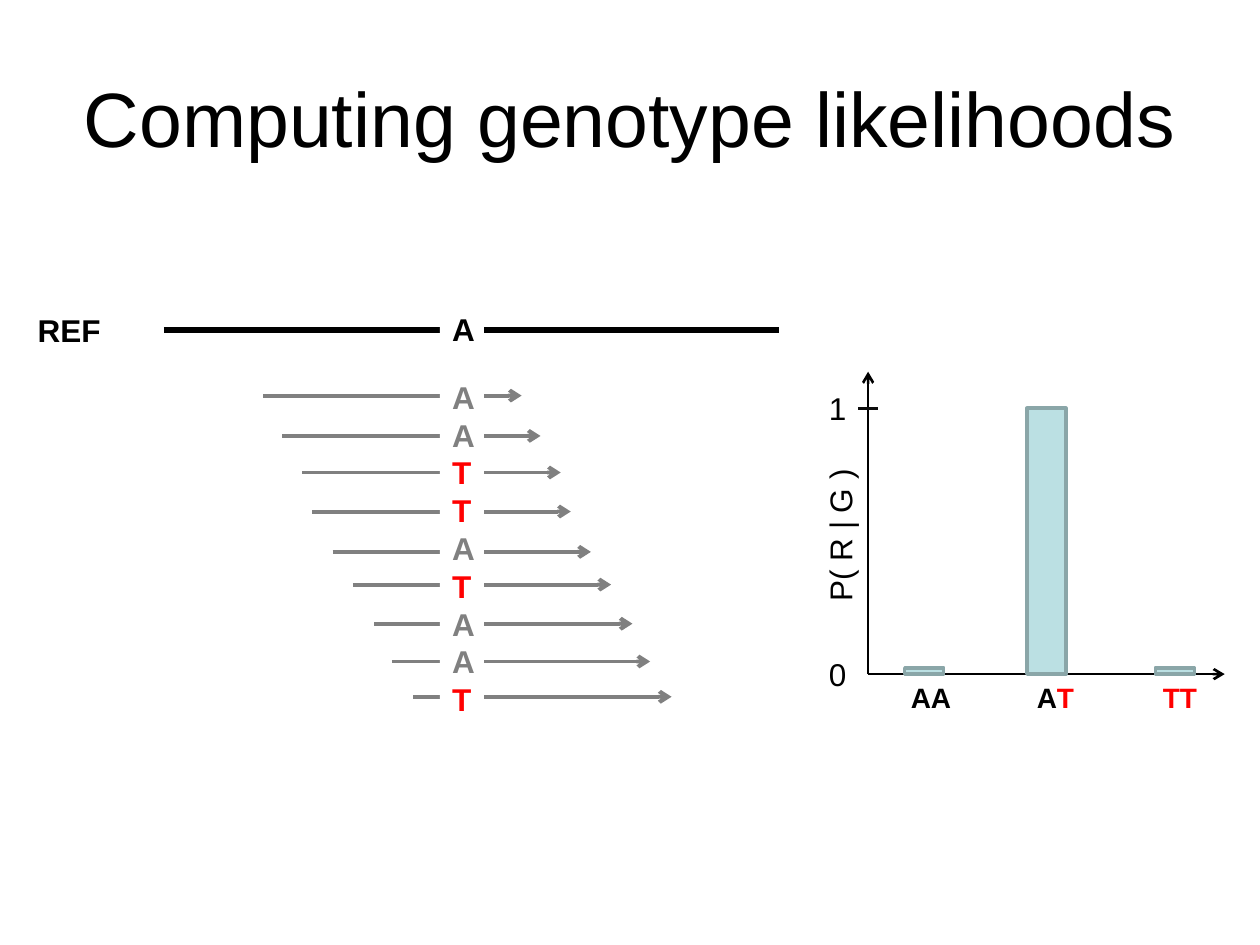
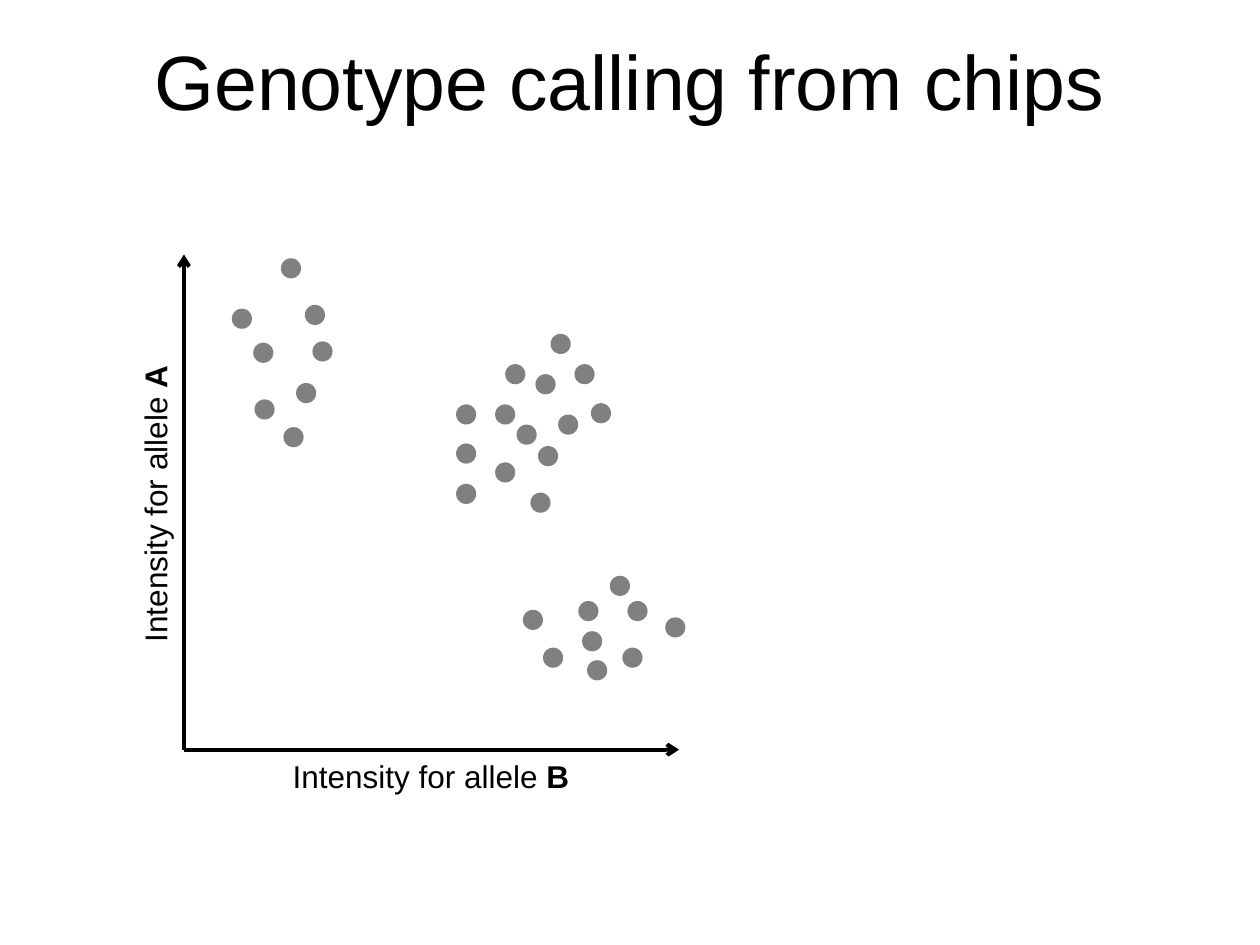
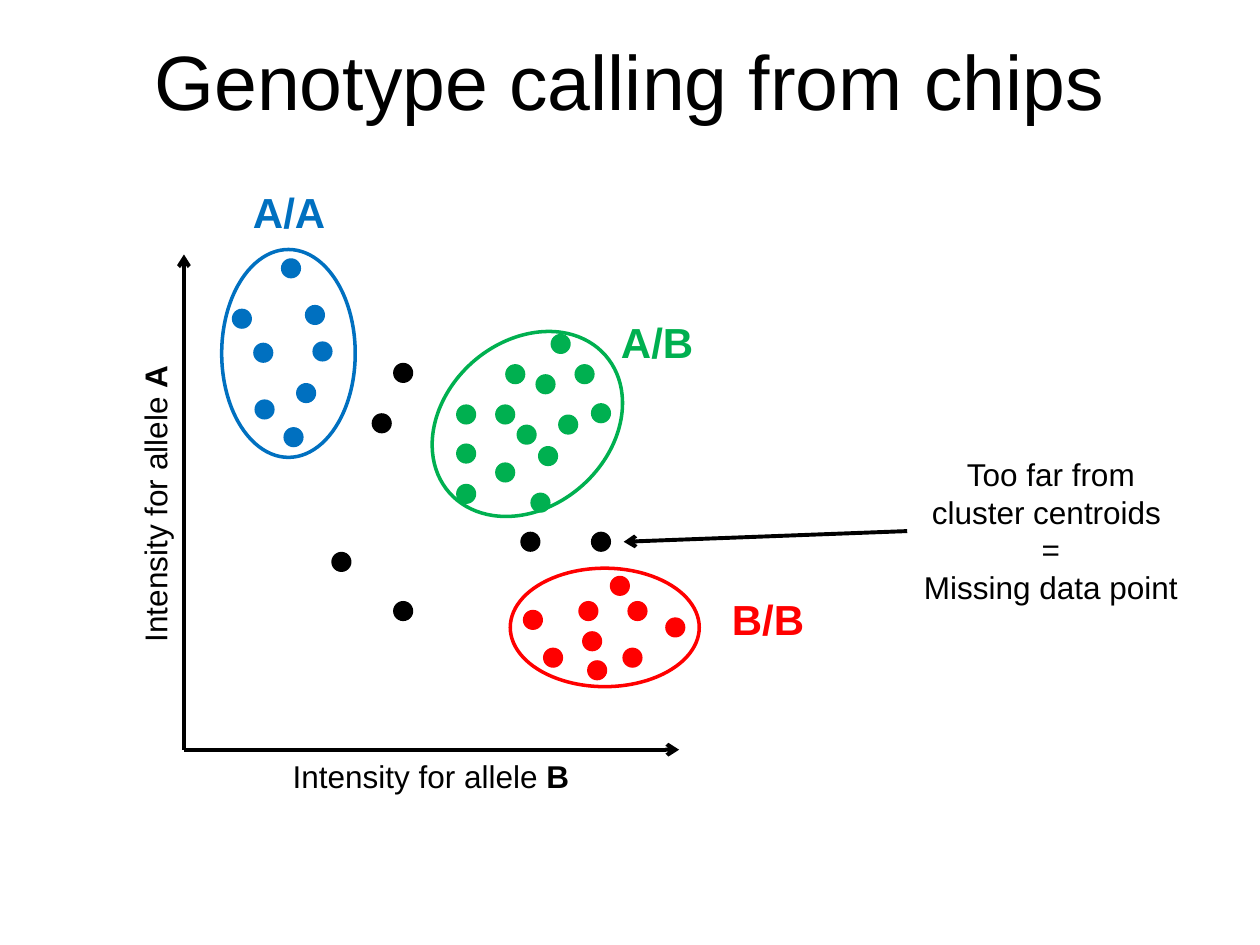
from collections import namedtuple
from dataclasses import dataclass

from pptx import Presentation
from pptx import util as u
from pptx.dml.color import RGBColor
from pptx.enum import shapes, text
from pptx.oxml.ns import qn
from lxml import etree

PX = 9144  # EMU in one px: 100 px to the inch


@dataclass(frozen=True)
class Theme:
    font: str = "Arial"
    ink: str = "000000"
    paper: str = "FFFFFF"
    grey: str = "808080"
    tick: str = "0D0D0D"
    blue: str = "0070C0"
    green: str = "00B050"
    red: str = "FF0000"
    bar: str = "BBE0E3"
    bar_edge: str = "8AA6A8"
    title: int = 44
    cluster: int = 24
    body: int = 18
    genotype: int = 16


T = Theme()
Box = namedtuple("Box", "x y w h")
Cluster = namedtuple("Cluster", "name color label ring angle dots")

READS = [  # allele, left end and height of each read
    ("A", 189, 73), ("A", 204, 105), ("T", 220, 134),
    ("T", 228, 165), ("A", 244, 197), ("T", 260, 223),
    ("A", 277, 254), ("A", 291, 284), ("T", 308, 312),
]
BARS = [(29, 5), (126, 211), (228, 5)]
GENOTYPE_TABS = (100, 200)

CLUSTERS = [
    Cluster("A/A", T.blue, (45, -59), Box(30, -4, 106, 165), 0, [
        (55, 70), (102, 69), (56, 115), (89, 102),
        (96, 40), (77, 3), (38, 43), (79, 137)]),
    Cluster("A/B", T.green, (337, 44), Box(207, 52, 131, 165), 48.6, [
        (247, 119), (264, 135), (281, 152), (216, 150), (247, 165),
        (297, 127), (279, 95), (310, 87), (255, 87), (216, 119),
        (216, 182), (291, 63), (323, 118), (275, 189)]),
    Cluster("B/B", T.red, (425, 264), Box(259, 249, 150, 94), 0, [
        (313, 275), (316, 299), (320, 322), (269, 282), (285, 312),
        (348, 312), (352, 275), (382, 288), (338, 255)]),
]
OUTLIERS = [(149, 126), (166, 86), (267, 220),
            (323, 220), (117, 236), (166, 275)]
DOT = 16


def px(*lengths):
    return [u.Emu(round(n * PX)) for n in lengths]


def rgb(color):
    return RGBColor.from_string(color)


def set_all(obj, formats):
    for name, value in formats.items():
        setattr(obj, name, value)


def write(tf, paragraphs, size=T.body, color=T.ink, bold=False,
          align=text.PP_ALIGN.LEFT):
    """Fill a text frame; each paragraph is a list of (text, overrides)."""
    for i, runs in enumerate(paragraphs):
        p = tf.paragraphs[0] if i == 0 else tf.add_paragraph()
        p.alignment = align
        for words, overrides in runs:
            fmt = {"color": color, "bold": bold, **overrides}
            r = p.add_run()
            r.text = words
            r.font.color.rgb = rgb(fmt.pop("color"))
            set_all(r.font, {"name": T.font, "size": u.Pt(size), **fmt})


def set_tabs(p, stops):
    tabs = etree.SubElement(p._p.get_or_add_pPr(), qn("a:tabLst"))
    for stop in px(*stops):
        etree.SubElement(tabs, qn("a:tab"), pos=str(int(stop)), algn="l")


def label(s, box, paragraphs, wrap=True, fill=None, rotation=0, **fmt):
    sp = s.shapes.add_textbox(*px(*box))
    sp.rotation = rotation
    if fill:
        sp.fill.solid()
        sp.fill.fore_color.rgb = rgb(fill)
    sp.text_frame.word_wrap = wrap
    write(sp.text_frame, paragraphs, **fmt)
    return sp


def shape(s, kind, box, fill=None, line=None, rotation=0):
    sp = s.shapes.add_shape(kind, *px(*box))
    sp.shadow.inherit = False
    sp.rotation = rotation
    if fill:
        sp.fill.solid()
        sp.fill.fore_color.rgb = rgb(fill)
    else:
        sp.fill.background()
    if line:
        sp.line.color.rgb = rgb(line)
        sp.line.width = u.Pt(2)
    else:
        sp.line.fill.background()
    return sp


def line(s, x1, y1, x2, y2, color=T.ink, weight=2.25, arrow=True):
    c = s.shapes.add_connector(shapes.MSO_CONNECTOR.STRAIGHT,
                               *px(x1, y1, x2, y2))
    c.line.color.rgb = rgb(color)
    c.line.width = u.Pt(weight)
    if arrow:
        etree.SubElement(c.line._get_or_add_ln(), qn("a:tailEnd"), type="arrow")
    etree.SubElement(c._element.spPr, qn("a:effectLst"))
    return c


def axes(s, box, weight):
    base = box.y + box.h
    line(s, box.x, base, box.x, box.y, weight=weight)
    line(s, box.x, base, box.x + box.w, base, weight=weight)


def titled_slide(prs, title, top):
    s = prs.slides.add_slide(prs.slide_layouts[5])
    sp = s.shapes.title
    set_all(sp, dict(zip(("left", "top", "width", "height"),
                         px(50, top, 900, 125))))
    sp.text_frame.vertical_anchor = text.MSO_ANCHOR.MIDDLE
    write(sp.text_frame, [[(title, {})]], size=T.title,
          align=text.PP_ALIGN.CENTER)
    return s


def read_pileup(s, box):
    """Reference line with the reads aligned below it."""
    ref_y = box.y + 21
    line(s, box.x + 110, ref_y, box.x + box.w, ref_y, weight=3, arrow=False)
    label(s, (box.x, box.y + 1, 71, 40), [[("REF", {})]], wrap=False, bold=True)
    for _, dx, dy in READS:
        x, y = box.x + dx, box.y + dy
        line(s, x, y, x + 205, y, T.grey)

    colors = {"A": T.grey, "T": T.red}
    pileup = [[(allele, {"color": colors[allele]})] for allele, *_ in READS]
    for dy, h, column in ((0, 40, [[("A", {})]]), (54, 283, pileup)):
        label(s, (box.x + 329, box.y + dy, 35, h), column, fill=T.paper,
              bold=True, align=text.PP_ALIGN.CENTER)


def likelihood_plot(s, box):
    base = box.y + box.h
    axes(s, box, 1.5)
    red = {"color": T.red}
    genotypes = label(s, (box.x + 24, base, 252, 37),
                      [[("AA\tA", {}), ("T\tTT", red)]],
                      size=T.genotype, bold=True)
    set_tabs(genotypes.text_frame.paragraphs[0], GENOTYPE_TABS)
    for dx, h in BARS:
        shape(s, shapes.MSO_SHAPE.RECTANGLE, (box.x + dx, base - h, 31, h),
              T.bar, T.bar_edge)
    one = base - 211
    line(s, box.x - 8, one, box.x + 8, one, T.tick, 1.5, arrow=False)
    for value, y in (("1", one), ("0", base)):
        label(s, (box.x - 41, y - 20, 31, 40), [[(value, {})]])
    label(s, (box.x - 97, box.y + 110, 149, 40), [[("P( R | G )", {})]],
          rotation=270, align=text.PP_ALIGN.CENTER)


def dots(s, box, places, color):
    for dx, dy in places:
        shape(s, shapes.MSO_SHAPE.OVAL,
              (box.x + dx, box.y + dy, DOT, DOT), color)


def intensity_plot(s, box, called):
    """Allele intensities; when called, each cluster has its own colour."""
    axes(s, box, 2.25)
    w, h = 390, 40
    for allele, x, y, rotation in (
            ("A", box.x - 23 - w / 2, box.y + 178, 270),
            ("B", box.x + 1, box.y + box.h + 1, 0)):
        label(s, (x, y, w, h),
              [[("Intensity for allele ", {}), (allele, {"bold": True})]],
              rotation=rotation, align=text.PP_ALIGN.CENTER)
    for cluster in CLUSTERS:
        dots(s, box, cluster.dots, cluster.color if called else T.grey)


def cluster_calls(s, box):
    for name, color, (dx, dy), ring, angle, _ in CLUSTERS:
        label(s, (box.x + dx, box.y + dy, 120, 50), [[(name, {})]],
              size=T.cluster, color=color, bold=True)
        shape(s, shapes.MSO_SHAPE.OVAL,
              (box.x + ring.x, box.y + ring.y, ring.w, ring.h),
              line=color, rotation=angle)
    dots(s, box, OUTLIERS, T.ink)


def missing_note(s, box, target):
    note = label(s, box, [[("Too far from cluster centroids ", {})],
                          [("=", {})], [("Missing data point", {})]],
                 align=text.PP_ALIGN.CENTER)
    line(s, box.x, box.y + box.h / 2, *target).begin_connect(note, 1)


def main():
    prs = Presentation()
    prs.slide_width, prs.slide_height = px(1000, 750)

    s = titled_slide(prs, "Computing genotype likelihoods", 30)
    read_pileup(s, Box(20, 241, 598, 337))
    likelihood_plot(s, Box(689, 295, 283, 240))

    plot = Box(146, 202, 393, 393)
    for called in (False, True):
        s = titled_slide(prs, "Genotype calling from chips", 1)
        intensity_plot(s, plot, called)
    cluster_calls(s, plot)
    missing_note(s, Box(720, 356, 228, 131), (495, 430))

    prs.save("out.pptx")


if __name__ == "__main__":
    main()
